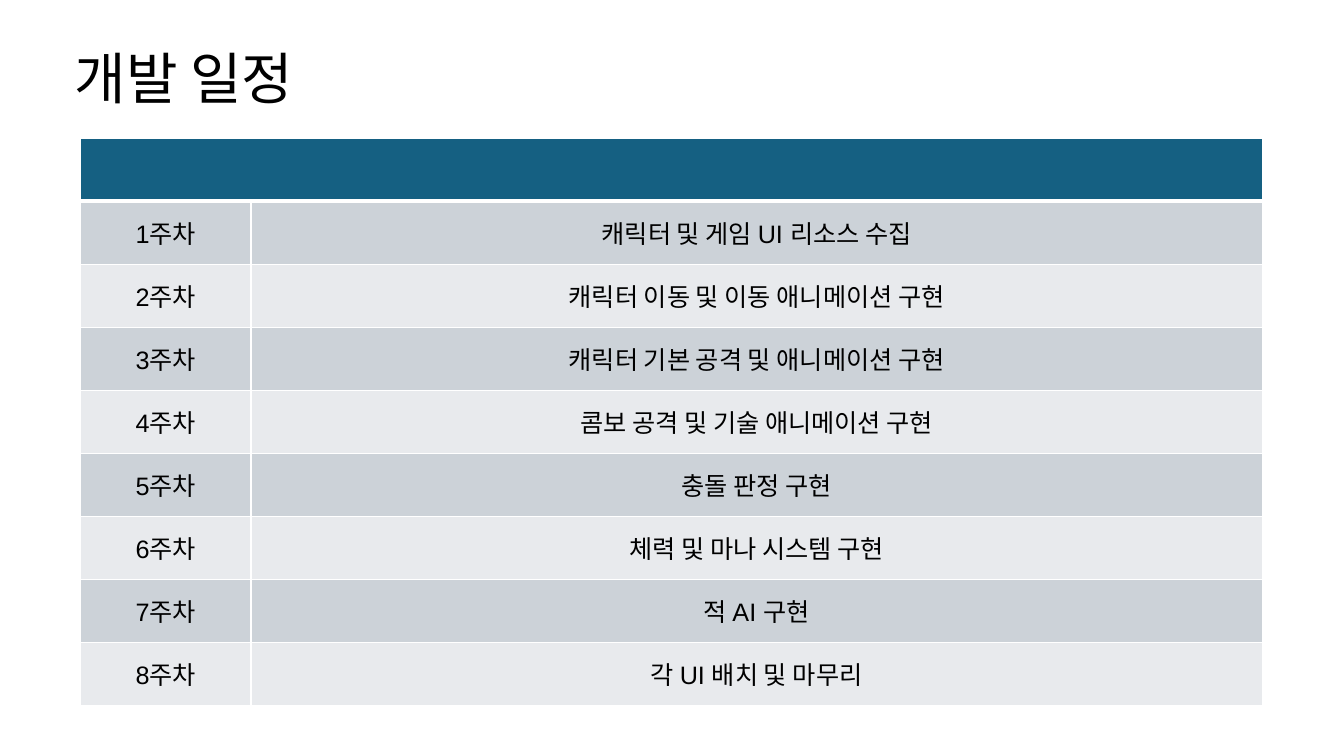
from lxml import etree
from pptx import Presentation
from pptx.dml.color import RGBColor
from pptx.enum import text
from pptx.oxml import ns
from pptx.util import Inches, Pt

COLORS = {
    "ink": "000000",
    "header": "156082",
    "odd": "CCD2D8",
    "even": "E8EAED",
    "border": "FFFFFF",
}
FONT = "Arial"
TASKS = [
    "캐릭터 및 게임 UI 리소스 수집",
    "캐릭터 이동 및 이동 애니메이션 구현",
    "캐릭터 기본 공격 및 애니메이션 구현",
    "콤보 공격 및 기술 애니메이션 구현",
    "충돌 판정 구현",
    "체력 및 마나 시스템 구현",
    "적 AI 구현",
    "각 UI 배치 및 마무리",
]


def color(name):
    """Return the named palette colour."""
    return RGBColor.from_string(COLORS[name])


def write(frame, words, size, align):
    """Put one styled paragraph in a text frame."""
    frame.text = words
    para = frame.paragraphs[0]
    para.alignment = align
    para.font.size = Pt(size)
    para.font.name = FONT
    para.font.bold = False
    para.font.color.rgb = color("ink")
    return para


def set_borders(cell, top, bottom):
    """Draw the cell borders, with top and bottom widths in points."""
    properties = cell._tc.get_or_add_tcPr()
    widths = {"lnL": 1, "lnR": 1, "lnT": top, "lnB": bottom}
    for index, (side, width) in enumerate(widths.items()):
        line = etree.Element(ns.qn(f"a:{side}"), w=str(Pt(width)))
        fill = etree.SubElement(line, ns.qn("a:solidFill"))
        etree.SubElement(fill, ns.qn("a:srgbClr"), val=COLORS["border"])
        properties.insert(index, line)


def add_title(page, words, left, top, width, height):
    """Place the slide title in the given box."""
    title = page.shapes.title
    title.left, title.top = Inches(left), Inches(top)
    title.width, title.height = Inches(width), Inches(height)
    frame = title.text_frame
    para = write(frame, words, 40, text.PP_ALIGN.LEFT)
    para.line_spacing = 0.9
    frame.auto_size = text.MSO_AUTO_SIZE.NONE
    frame.vertical_anchor = text.MSO_ANCHOR.MIDDLE


def add_schedule(page, tasks, left, top, width, height, week_width):
    """Place the weekly schedule table in the given box."""
    box = [Inches(length) for length in (left, top, width, height)]
    table = page.shapes.add_table(len(tasks) + 1, 2, *box).table
    table.columns[0].width = Inches(week_width)
    table.columns[1].width = Inches(width - week_width)
    for row_index, row in enumerate(table.rows):
        row.height = Inches(height / len(table.rows))
        fill = "header" if row_index == 0 else "odd" if row_index % 2 else "even"
        for cell in row.cells:
            cell.fill.solid()
            cell.fill.fore_color.rgb = color(fill)
            cell.vertical_anchor = text.MSO_ANCHOR.MIDDLE
            set_borders(cell, 3 if row_index == 1 else 1, 3 if row_index == 0 else 1)
    table.cell(0, 0).merge(table.cell(0, 1))
    for week, task in enumerate(tasks, 1):
        for column, words in enumerate((f"{week}주차", task)):
            write(table.cell(week, column).text_frame, words, 18, text.PP_ALIGN.CENTER)


def main():
    """Build and save the schedule slide."""
    deck = Presentation()
    deck.slide_width, deck.slide_height = Inches(13.33), Inches(7.5)
    page = deck.slides.add_slide(deck.slide_layouts[5])
    add_title(page, "개발 일정", 0.64, 0.08, 11.5, 1.45)
    add_schedule(page, TASKS, 0.8, 1.37, 11.72, 5.63, 1.69)
    deck.save("out.pptx")


if __name__ == "__main__":
    main()
